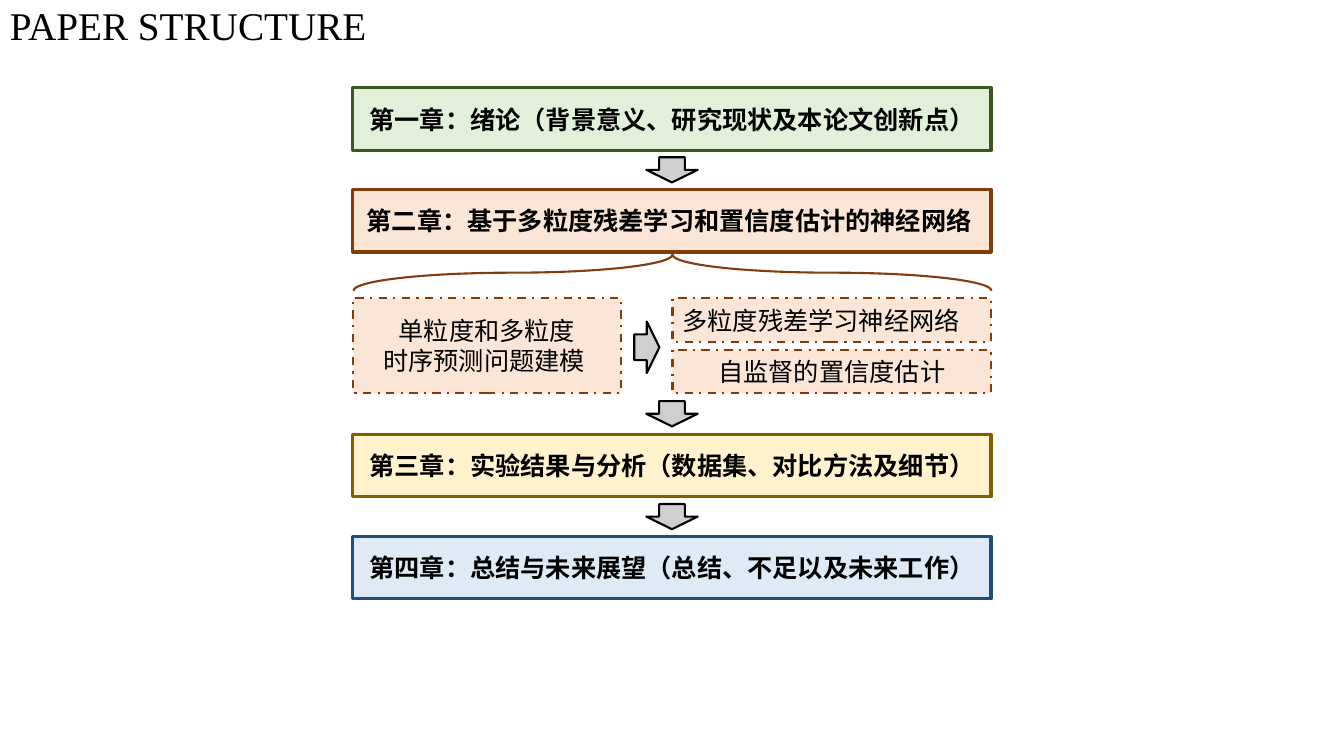
"""Build the paper structure slide: four chapters joined by arrows."""
from typing import NamedTuple

from lxml import etree
from pptx import Presentation
from pptx.dml.color import RGBColor
from pptx.enum.dml import MSO_LINE
from pptx.enum.shapes import MSO_SHAPE
from pptx.enum.text import MSO_ANCHOR, PP_ALIGN
from pptx.oxml.ns import qn
from pptx.util import Pt

RECT, ARROW, BRACE = MSO_SHAPE.RECTANGLE, MSO_SHAPE.DOWN_ARROW, MSO_SHAPE.RIGHT_BRACE
DASH = MSO_LINE.DASH_DOT
LEFT, CENTER = PP_ALIGN.LEFT, PP_ALIGN.CENTER
MIDDLE = MSO_ANCHOR.MIDDLE

BLACK = RGBColor(0x00, 0x00, 0x00)
GRAY = RGBColor(0xD0, 0xCE, 0xCE)
MINT = RGBColor(0xE2, 0xF0, 0xD9)
GREEN = RGBColor(0x38, 0x57, 0x23)
PEACH = RGBColor(0xFB, 0xE5, 0xD6)
BROWN = RGBColor(0x84, 0x3C, 0x0B)
CREAM = RGBColor(0xFF, 0xF2, 0xCC)
GOLD = RGBColor(0x80, 0x60, 0x00)
ICE = RGBColor(0xDE, 0xEB, 0xF7)
BLUE = RGBColor(0x1F, 0x4E, 0x79)

PX = 9144
HAN, ROMAN = "Noto Sans CJK SC", "Times New Roman"
EDGE, WIDE, TALL = 350, 633, 62


class Chapter(NamedTuple):
    top: int
    fill: RGBColor
    line: RGBColor
    text: str


class Topic(NamedTuple):
    left: int
    top: int
    width: int
    height: int
    text: str
    align: PP_ALIGN = CENTER


class Arrow(NamedTuple):
    left: int
    top: int
    turn: int = 0


CHAPTERS = [
    Chapter(87, MINT, GREEN, "第一章：绪论（背景意义、研究现状及本论文创新点）"),
    Chapter(188, PEACH, BROWN, "第二章：基于多粒度残差学习和置信度估计的神经网络 "),
    Chapter(431, CREAM, GOLD, "第三章：实验结果与分析（数据集、对比方法及细节）"),
    Chapter(532, ICE, BLUE, "第四章：总结与未来展望（总结、不足以及未来工作）"),
]
TOPICS = [
    Topic(EDGE, 296, 266, 94, "单粒度和多粒度\n时序预测问题建模 "),
    Topic(667, 296, 316, 43, "多粒度残差学习神经网络", LEFT),
    Topic(667, 347, 316, 43, "自监督的置信度估计"),
]
ARROWS = [Arrow(641, 156), Arrow(616, 332, 270), Arrow(641, 398), Arrow(641, 500)]


def write(shape, text: str, *, size: int = 18, font: str = HAN,
          bold: bool = False, align: PP_ALIGN = CENTER) -> None:
    """Write one paragraph per line of text."""
    frame = shape.text_frame
    frame.word_wrap = True
    frame.vertical_anchor = MIDDLE
    frame.text = text
    for para in frame.paragraphs:
        para.alignment = align
        for run in para.runs:
            run.font.size = Pt(size)
            run.font.bold = bold
            run.font.color.rgb = BLACK
            run.font.name = font
            props = run._r.get_or_add_rPr()
            etree.SubElement(props, qn("a:ea"), typeface=font)


def draw(slide, kind: MSO_SHAPE, left: int, top: int, width: int, height: int, *,
         line: RGBColor, fill: RGBColor | None = None, weight: float = 1.5,
         dash: MSO_LINE | None = None, turn: int = 0):
    """Draw a preset shape placed in px."""
    shape = slide.shapes.add_shape(kind, left * PX, top * PX, width * PX, height * PX)
    shape.shadow.inherit = False
    shape.rotation = turn
    if fill is None:
        shape.fill.background()
    else:
        shape.fill.solid()
        shape.fill.fore_color.rgb = fill
    shape.line.color.rgb = line
    shape.line.width = Pt(weight)
    if dash is not None:
        shape.line.dash_style = dash
    return shape


def main() -> None:
    """Build and save the slide."""
    deck = Presentation()
    deck.slide_width, deck.slide_height = 1333 * PX, 750 * PX
    slide = deck.slides.add_slide(deck.slide_layouts[6])

    title = slide.shapes.add_textbox(0, 0, 616 * PX, 56 * PX)
    write(title, "PAPER STRUCTURE", size=28, font=ROMAN, align=LEFT)
    para = title.text_frame.paragraphs[0]
    para.line_spacing = 0.9
    para.space_before = Pt(10)

    for part in CHAPTERS:
        box = draw(slide, RECT, EDGE, part.top, WIDE, TALL,
                   fill=part.fill, line=part.line, weight=2.25)
        write(box, part.text, bold=True)

    brace = draw(slide, BRACE, 649, -46, 36, WIDE, line=BROWN, turn=270)
    brace.adjustments[0] = 4.41
    brace.adjustments[1] = 0.5

    for part in TOPICS:
        box = draw(slide, RECT, part.left, part.top, part.width, part.height,
                   fill=PEACH, line=BROWN, dash=DASH)
        write(box, part.text, align=part.align)

    for part in ARROWS:
        draw(slide, ARROW, part.left, part.top, 51, 25,
             fill=GRAY, line=BLACK, turn=part.turn)

    deck.save("out.pptx")


if __name__ == "__main__":
    main()
